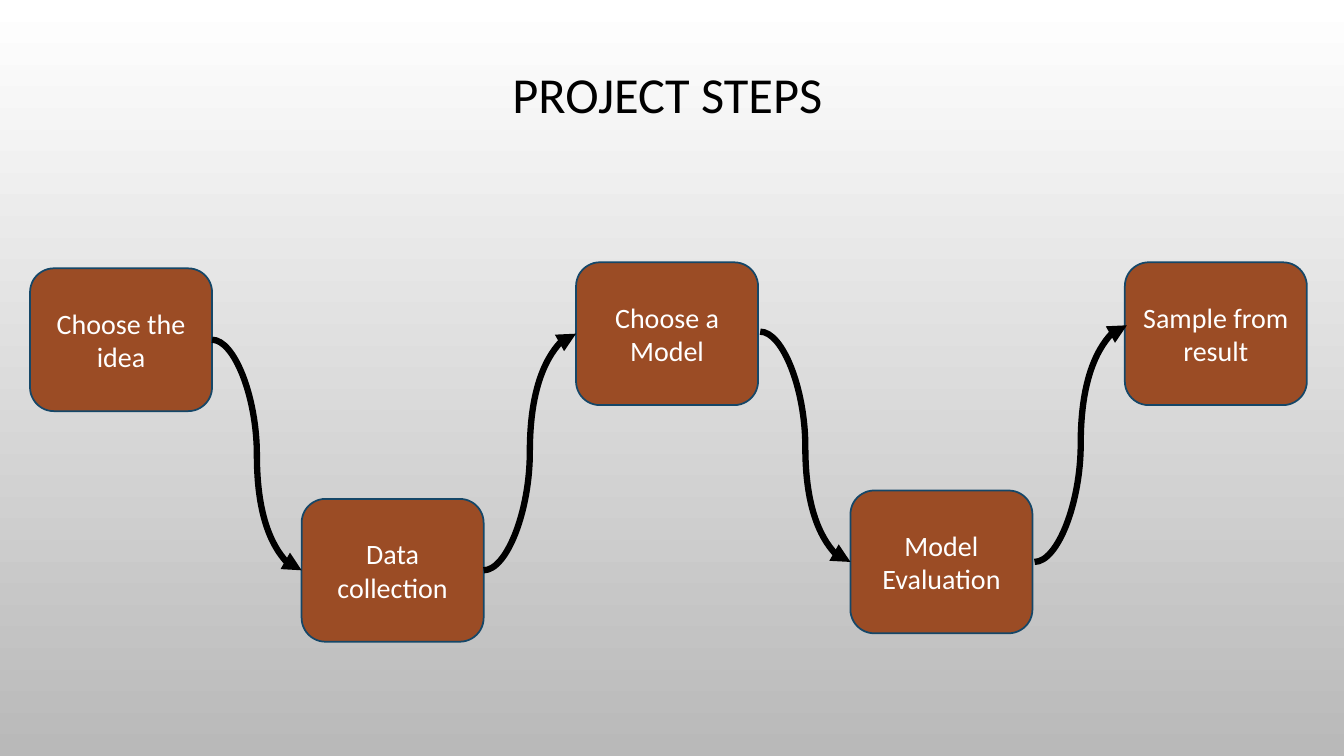
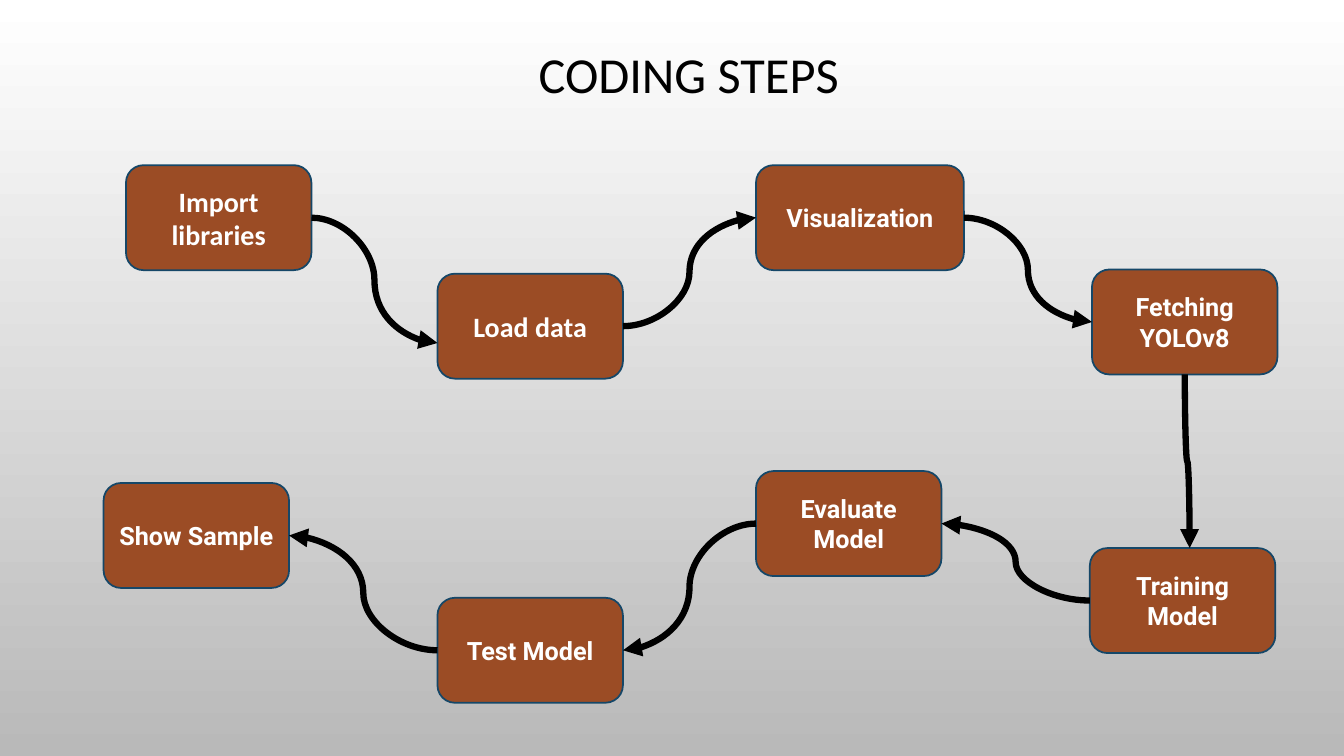
from itertools import pairwise
from typing import NamedTuple

from lxml.etree import SubElement
from pptx import Presentation
from pptx.dml.color import RGBColor
from pptx.enum.shapes import MSO_CONNECTOR, MSO_SHAPE
from pptx.enum.text import MSO_ANCHOR, PP_ALIGN
from pptx.oxml.ns import qn
from pptx.util import Pt

BLACK = RGBColor(0x00, 0x00, 0x00)
WHITE = RGBColor(0xFF, 0xFF, 0xFF)
GREY = RGBColor(0xB9, 0xB9, 0xB9)
RUST = RGBColor(0x9B, 0x4C, 0x25)
NAVY = RGBColor(0x15, 0x47, 0x68)

SIDES = {"top": (0.5, 0), "left": (0, 0.5), "bottom": (0.5, 1), "right": (1, 0.5)}


class Box(NamedTuple):
    x: float
    y: float
    w: float
    h: float

    def side(self, name, dx=0, dy=0):
        fx, fy = SIDES[name]
        return self.x + fx * self.w + dx, self.y + fy * self.h + dy


class Style(NamedTuple):
    font: str
    size: int
    bold: bool = False


class Step(NamedTuple):
    text: str
    x: float
    y: float
    style: Style
    extra: float = 0


class Link(NamedTuple):
    start: str
    end: str
    start_shift: tuple = (0, 0)
    end_shift: tuple = (0, 0)


TITLE = Style("Calibri", 36)
PLAIN = Style("Calibri", 20)
STRONG = Style("Calibri", 20, True)
CODE = Style("Roboto", 18, True)


def write(tf, text, style, color, spacing=1.0):
    tf.word_wrap = True
    tf.vertical_anchor = MSO_ANCHOR.MIDDLE
    p = tf.paragraphs[0]
    p.alignment = PP_ALIGN.CENTER
    p.line_spacing = spacing
    r = p.add_run()
    r.text = text
    r.font.name = style.font
    r.font.size = Pt(style.size)
    r.font.bold = style.bold
    r.font.color.rgb = color


def set_background(master):
    fill = master.background.fill
    fill.gradient()
    fill.gradient_angle = 270
    for stop, color in zip(fill.gradient_stops, (WHITE, GREY)):
        stop.color.rgb = color


def add_title(s, box, text):
    sp = s.shapes.add_textbox(*map(Pt, box))
    write(sp.text_frame, text, TITLE, BLACK, 0.9)


def add_step(s, box, step):
    sp = s.shapes.add_shape(MSO_SHAPE.ROUNDED_RECTANGLE, *map(Pt, box))
    sp.shadow.inherit = False
    sp.fill.solid()
    sp.fill.fore_color.rgb = RUST
    sp.line.color.rgb = NAVY
    sp.line.width = Pt(1.25)
    write(sp.text_frame, step.text, step.style, WHITE)


def add_curve(s, start, end, vertical=False):
    (x1, y1), (x2, y2) = start, end
    if vertical:
        cx, cy = (x1 + x2) / 2, (y1 + y2) / 2
        dx, dy = (x2 - x1) / 2, (y2 - y1) / 2
        x1, y1, x2, y2 = cx + dy, cy - dx, cx - dy, cy + dx
    line = s.shapes.add_connector(MSO_CONNECTOR.CURVE, *map(Pt, (x1, y1, x2, y2)))
    line.line.color.rgb = BLACK
    line.line.width = Pt(4.5)
    spPr = line._element.spPr
    if vertical:
        spPr.find(qn("a:xfrm")).set("rot", "16200000")
    SubElement(spPr.find(qn("a:ln")), qn("a:tailEnd"), type="triangle")
    SubElement(spPr, qn("a:effectLst"))


def add_flow(s, left, top, width, height, steps, links):
    boxes = [Box(left + t.x, top + t.y, width + t.extra, height) for t in steps]
    for box, step in zip(boxes, steps):
        add_step(s, box, step)
    for (a, b), link in zip(pairwise(boxes), links):
        add_curve(
            s,
            a.side(link.start, *link.start_shift),
            b.side(link.end, *link.end_shift),
            link.start == "bottom",
        )


def project_slide(s):
    add_title(s, Box(324.5, 11.5, 304.5, 116.5), "PROJECT STEPS")
    steps = [
        Step("Choose the idea", 0, 4.3, PLAIN),
        Step("Data collection", 194, 169, PLAIN),
        Step("Choose a Model", 390, 0, PLAIN),
        Step("Model Evaluation", 586, 163, PLAIN),
        Step("Sample from result", 782, 0, PLAIN),
    ]
    links = [
        Link("right", "left"),
        Link("right", "left"),
        Link("right", "left", (1.5, -1.5)),
        Link("right", "left", (1.5, 0), (1.5, -6)),
    ]
    add_flow(s, 21.5, 187.4, 130, 102, steps, links)


def coding_slide(s):
    add_title(s, Box(364, 21, 256, 68), "CODING STEPS")
    steps = [
        Step("Import libraries", 16, 0, STRONG),
        Step("Load data", 238.5, 77.5, STRONG),
        Step("Visualization", 466, 0, CODE, 16),
        Step("Fetching YOLOv8", 706, 74.5, CODE),
        Step("Training Model", 704.5, 273.5, CODE),
        Step("Evaluate Model", 466, 218.5, CODE),
        Step("Test Model", 238.5, 309, CODE),
        Step("Show Sample", 0, 227, CODE),
    ]
    links = [
        Link("right", "left", end_shift=(0, 12)),
        Link("right", "left"),
        Link("right", "left"),
        Link("bottom", "top", end_shift=(5, 0)),
        Link("left", "right"),
        Link("left", "right"),
        Link("left", "right"),
    ]
    add_flow(s, 74, 118, 132.5, 75, steps, links)


def main():
    prs = Presentation()
    prs.slide_width, prs.slide_height = Pt(960), Pt(540)
    set_background(prs.slide_master)
    for build in (project_slide, coding_slide):
        build(prs.slides.add_slide(prs.slide_layouts[6]))
    prs.save("out.pptx")


if __name__ == "__main__":
    main()
